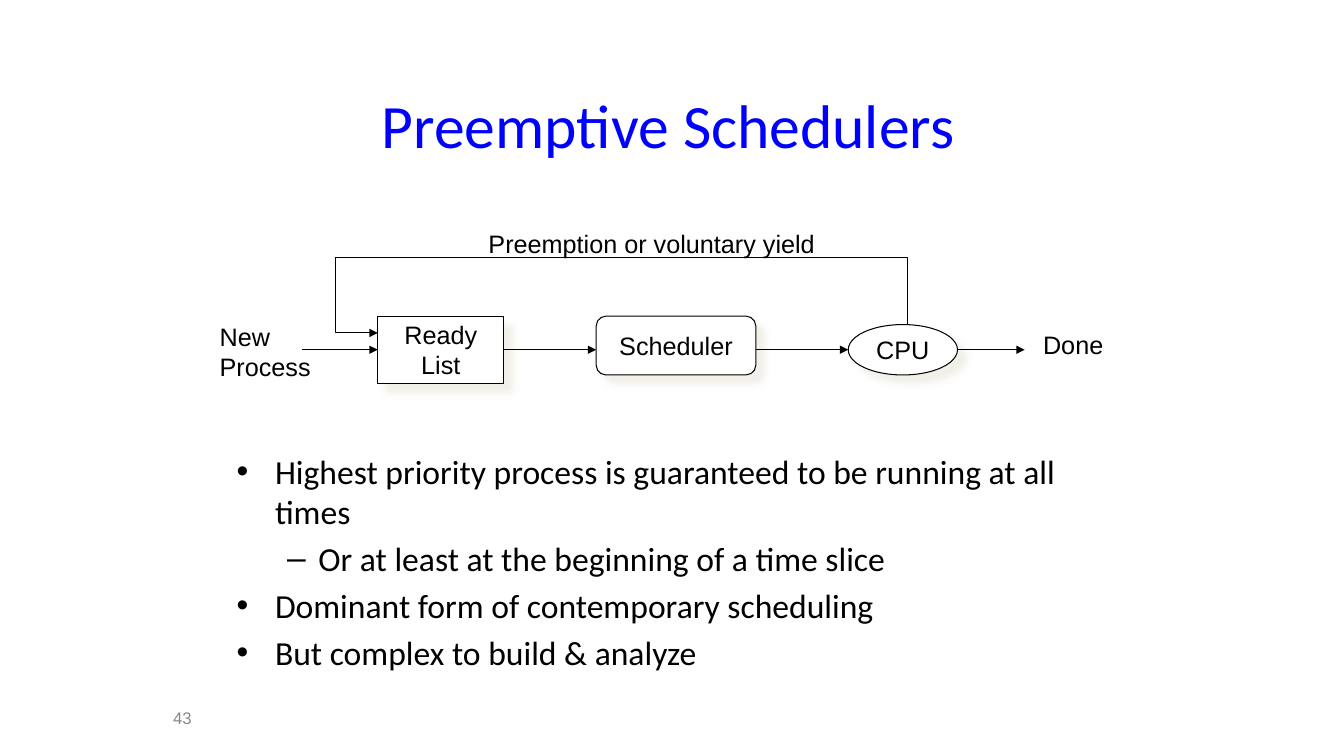
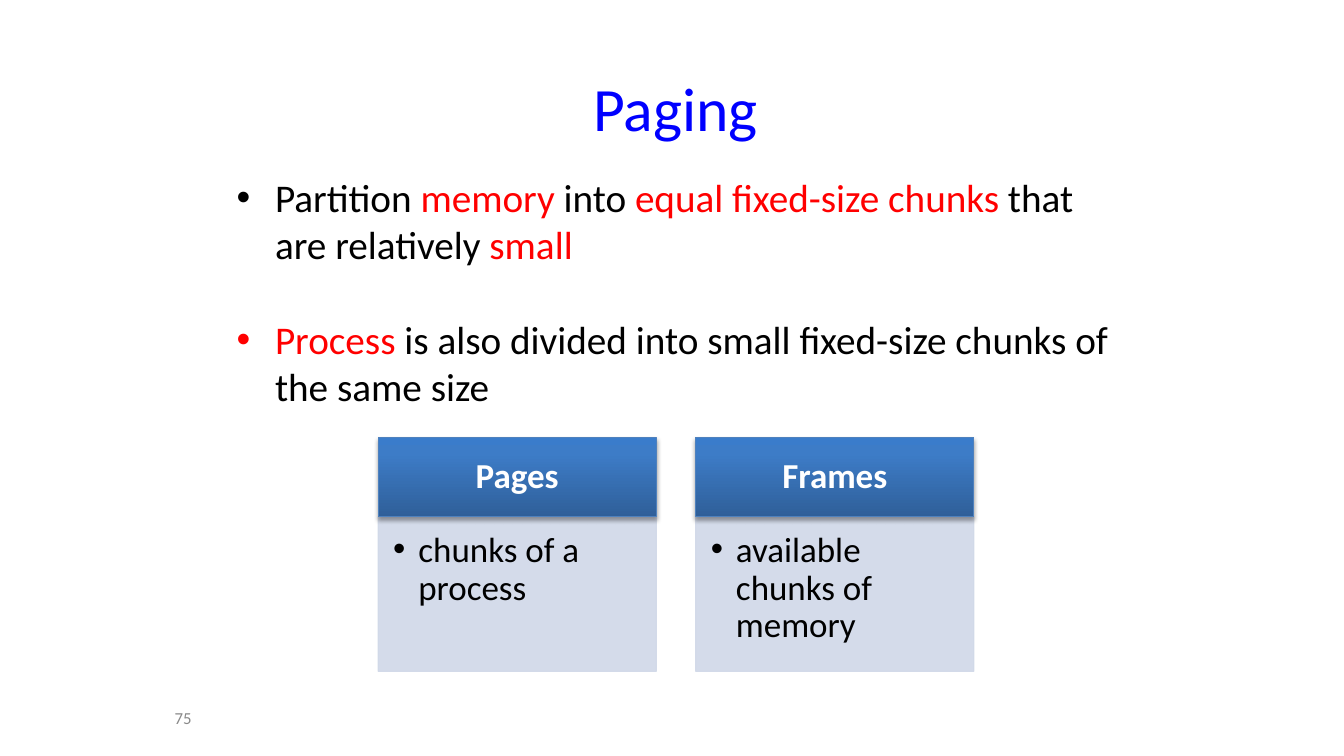
from lxml import etree
from pptx import Presentation
from pptx.dml.color import RGBColor
from pptx.enum.shapes import MSO_CONNECTOR, MSO_SHAPE
from pptx.enum.text import MSO_ANCHOR, PP_ALIGN
from pptx.oxml.ns import qn
from pptx.util import Inches, Pt

RECT, ROUND, OVAL = MSO_SHAPE.RECTANGLE, MSO_SHAPE.ROUNDED_RECTANGLE, MSO_SHAPE.OVAL
STRAIGHT = MSO_CONNECTOR.STRAIGHT
TOP, MIDDLE = MSO_ANCHOR.TOP, MSO_ANCHOR.MIDDLE
LEFT, CENTER, RIGHT = PP_ALIGN.LEFT, PP_ALIGN.CENTER, PP_ALIGN.RIGHT

BLACK = RGBColor(0x00, 0x00, 0x00)
WHITE = RGBColor(0xFF, 0xFF, 0xFF)
BLUE = RGBColor(0x00, 0x00, 0xFF)
RED = RGBColor(0xFF, 0x00, 0x00)
GREY = RGBColor(0x89, 0x89, 0x89)
CREAM = RGBColor(0xEE, 0xEC, 0xE1)
HEADER_LINE = RGBColor(0x4F, 0x81, 0xBD)
HEADER_STOPS = [(0, RGBColor(0x2F, 0x5F, 0x99)),
                (80, RGBColor(0x3D, 0x7C, 0xC7)),
                (100, RGBColor(0x3A, 0x7C, 0xCB))]
PALE_BLUE = RGBColor(0xD0, 0xD8, 0xE8)

BODY_FONT, DIAGRAM_FONT = "Calibri", "Arial"
TITLE = dict(size=Pt(44), name=BODY_FONT, color=BLUE)
NUMBER = dict(size=Pt(12), name=BODY_FONT, color=GREY)
LABEL = dict(size=Pt(18), name=DIAGRAM_FONT, color=BLACK)
CARD_HEAD = dict(size=Pt(25), name=BODY_FONT, color=WHITE, bold=True)
CARD_BODY = dict(size=Pt(25), name=BODY_FONT, color=BLACK)

# bullet character, text indent and hanging indent in inches
BULLETS = [("•", 0.38, 0.38), ("–", 0.81, 0.31)]
CARD_BULLET = ("•", 0.25, 0.25)
CELL = 1 / 12  # grid step of the flow diagram in inches


def sub(parent, tag, **attrs):
    return etree.SubElement(parent, qn(tag), {k: str(v) for k, v in attrs.items()})


def color_node(parent, color, alpha=100):
    node = sub(parent, "a:srgbClr", val=color)
    if alpha < 100:
        sub(node, "a:alpha", val=alpha * 1000)


def style_font(font, fmt):
    for key, value in fmt.items():
        if key == "color":
            font.color.rgb = value
        else:
            setattr(font, key, value)


def add_bullet(p, bullet):
    char, indent, hang = bullet
    pPr = p._p.get_or_add_pPr()
    pPr.set("marL", str(Inches(indent)))
    pPr.set("indent", str(-Inches(hang)))
    sub(pPr, "a:buFont", typeface="Arial")
    sub(pPr, "a:buChar", char=char)


def write(tf, paragraphs, fmt, align=LEFT, anchor=TOP, wrap=True, bullets=None,
          gap=None, line_spacing=None):
    """Fill a frame; each paragraph is a string or a list of (text, colour) runs."""
    tf.word_wrap, tf.vertical_anchor = wrap, anchor
    for i, content in enumerate(paragraphs):
        p = tf.paragraphs[0] if i == 0 else tf.add_paragraph()
        if bullets:
            add_bullet(p, bullets[i])
        p.alignment = align
        if gap and i:
            p.space_before = gap
        if line_spacing:
            p.line_spacing = line_spacing
        runs = [(content, fmt["color"])] if isinstance(content, str) else content
        for text, color in runs:
            r = p.add_run()
            r.text = text
            style_font(r.font, {**fmt, "color": color})


def add_text(s, box, paragraphs, fmt, **layout):
    tb = s.shapes.add_textbox(*map(Inches, box))
    write(tb.text_frame, paragraphs, fmt, **layout)


def add_box(s, kind, box, fill, line):
    sp = s.shapes.add_shape(kind, *map(Inches, box))
    sp.shadow.inherit = False
    sp.fill.solid()
    sp.fill.fore_color.rgb = fill
    sp.line.color.rgb = line
    sp.line.width = Pt(0.75)
    return sp


def add_shadow(sp, color, alpha, blur, distance, angle):
    effects = sp._element.spPr.find(qn("a:effectLst"))
    shadow = sub(effects, "a:outerShdw", blurRad=Pt(blur), dist=Pt(distance),
                 dir=angle * 60000, algn="ctr", rotWithShape=0)
    color_node(shadow, color, alpha)


def style_arrow(sp):
    sp.line.color.rgb = BLACK
    sp.line.width = Pt(0.75)
    sub(sp.line._get_or_add_ln(), "a:tailEnd", type="triangle")


def add_base(prs, title, title_box, number, number_font=BODY_FONT):
    """Add a blank slide with its title and slide number."""
    s = prs.slides.add_slide(prs.slide_layouts[6])
    add_text(s, title_box, [title], TITLE, align=CENTER, anchor=MIDDLE)
    add_text(s, (0.56, 6.92, 1.44, 0.4), [number], {**NUMBER, "name": number_font},
             align=RIGHT, anchor=MIDDLE)
    return s


def add_flow(s, left, top):
    """Draw the scheduling loop on a grid that starts at left, top."""
    def at(col, row):
        return left + col * CELL, top + row * CELL

    nodes = {}
    for name, kind, lines, col, row, cols, rows in [
            ("ready", RECT, ["Ready", "List"], 20, 11, 15, 8),
            ("scheduler", ROUND, ["Scheduler"], 46, 11, 19, 7),
            ("cpu", OVAL, ["CPU"], 76, 12, 13, 6)]:
        sp = add_box(s, kind, (*at(col, row), cols * CELL, rows * CELL), WHITE, BLACK)
        add_shadow(sp, CREAM, 75, 5, 8.5, 45)
        write(sp.text_frame, lines, LABEL, align=CENTER, anchor=MIDDLE, wrap=False)
        nodes[name] = sp

    arrows = []
    for start, end in [(11, 20), (35, 46), (65, 76), (89, 97)]:
        ends = [Inches(v) for v in (*at(start, 15), *at(end, 15))]
        arrow = s.shapes.add_connector(STRAIGHT, *ends)
        style_arrow(arrow)
        sub(arrow._element.spPr, "a:effectLst")
        arrows.append(arrow)
    arrows[0].end_connect(nodes["ready"], 1)
    arrows[1].begin_connect(nodes["ready"], 3)

    points = [tuple(map(Inches, at(*cell)))
              for cell in [(83, 12), (83, 4), (15, 4), (15, 13), (20, 13)]]
    builder = s.shapes.build_freeform(*points[0])
    builder.add_line_segments(points[1:], close=False)
    loop = builder.convert_to_shape()
    loop.shadow.inherit = False
    loop.fill.background()
    style_arrow(loop)

    for lines, col, row, width, height in [
            (["Preemption or voluntary yield"], 32, 0, 3.47, 0.4),
            (["Done"], 98, 12, 0.81, 0.4),
            (["New", "Process"], 0, 11, 1.11, 0.71)]:
        add_text(s, (*at(col, row), width, height), lines, LABEL, wrap=False)


def add_bullets(s, box, items, size, gap):
    """Write (level, content) items as a bulleted list."""
    add_text(s, box, [content for _, content in items],
             dict(size=Pt(size), name=BODY_FONT, color=BLACK),
             bullets=[BULLETS[level] for level, _ in items], gap=Pt(gap))


def set_insets(tf, left, top, right, bottom):
    for side, value in dict(left=left, top=top, right=right, bottom=bottom).items():
        setattr(tf, "margin_" + side, Inches(value))


def add_card(s, box, heading, body):
    """Draw a gradient heading, a third of the height, over a pale panel."""
    x, y, w, h = box
    head_h = h * 0.34
    panel = add_box(s, RECT, (x, y + head_h, w, h - head_h), PALE_BLUE, PALE_BLUE)
    for node in panel._element.spPr.iter(qn("a:srgbClr")):
        sub(node, "a:alpha", val=90000)
    set_insets(panel.text_frame, 0.15, 0.15, 0.19, 0.22)
    write(panel.text_frame, [body], CARD_BODY, bullets=[CARD_BULLET], line_spacing=0.9)

    head = add_box(s, RECT, (x, y, w, head_h), HEADER_LINE, HEADER_LINE)
    head.fill.gradient()
    head.fill.gradient_angle = 90
    stops = head._element.spPr.find(".//" + qn("a:gsLst"))
    for stop in list(stops):
        stops.remove(stop)
    for position, color in HEADER_STOPS:
        color_node(sub(stops, "a:gs", pos=position * 1000), color)
    add_shadow(head, BLACK, 35, 3.1, 1.8, 90)
    set_insets(head.text_frame, 0.19, 0.11, 0.19, 0.11)
    write(head.text_frame, [heading], CARD_HEAD, align=CENTER, anchor=MIDDLE,
          line_spacing=0.9)


def add_cards(s, box, cards, gap):
    """Share the box's width equally among the cards."""
    x, y, w, h = box
    card_w = (w - gap * (len(cards) - 1)) / len(cards)
    for i, (heading, body) in enumerate(cards):
        add_card(s, (x + i * (card_w + gap), y, card_w, h), heading, body)


def preemptive_slide(prs):
    s = add_base(prs, "Preemptive Schedulers", (2.42, 0.95, 8.42, 0.55), "43",
                 DIAGRAM_FONT)
    add_flow(s, 2.08, 2.22)
    add_bullets(s, (2.25, 4.42, 8.5, 2.58), [
        (0, "Highest priority process is guaranteed to be running at all times"),
        (1, "Or at least at the beginning of a time slice"),
        (0, "Dominant form of contemporary scheduling"),
        (0, "But complex to build & analyze")], size=24, gap=4.8)


def paging_slide(prs):
    s = add_base(prs, "Paging", (2.42, 0.33, 8.56, 1.45), "75")
    add_bullets(s, (2.25, 1.67, 8.9, 2.6), [
        (0, [("Partition ", BLACK), ("memory", RED), (" into ", BLACK),
             ("equal fixed-size chunks", RED), (" that are relatively ", BLACK),
             ("small", RED)]),
        (0, [("Process", RED),
             (" is also divided into small fixed-size chunks of the same size", BLACK)]),
    ], size=28, gap=34)
    add_cards(s, (3.75, 4.34, 5.91, 2.32), [
        ("Pages", "chunks of a process"),
        ("Frames", "available chunks of memory")], gap=0.39)


def main():
    prs = Presentation()
    prs.slide_width, prs.slide_height = Inches(13.33), Inches(7.5)
    preemptive_slide(prs)
    paging_slide(prs)
    prs.save("out.pptx")


if __name__ == "__main__":
    main()
